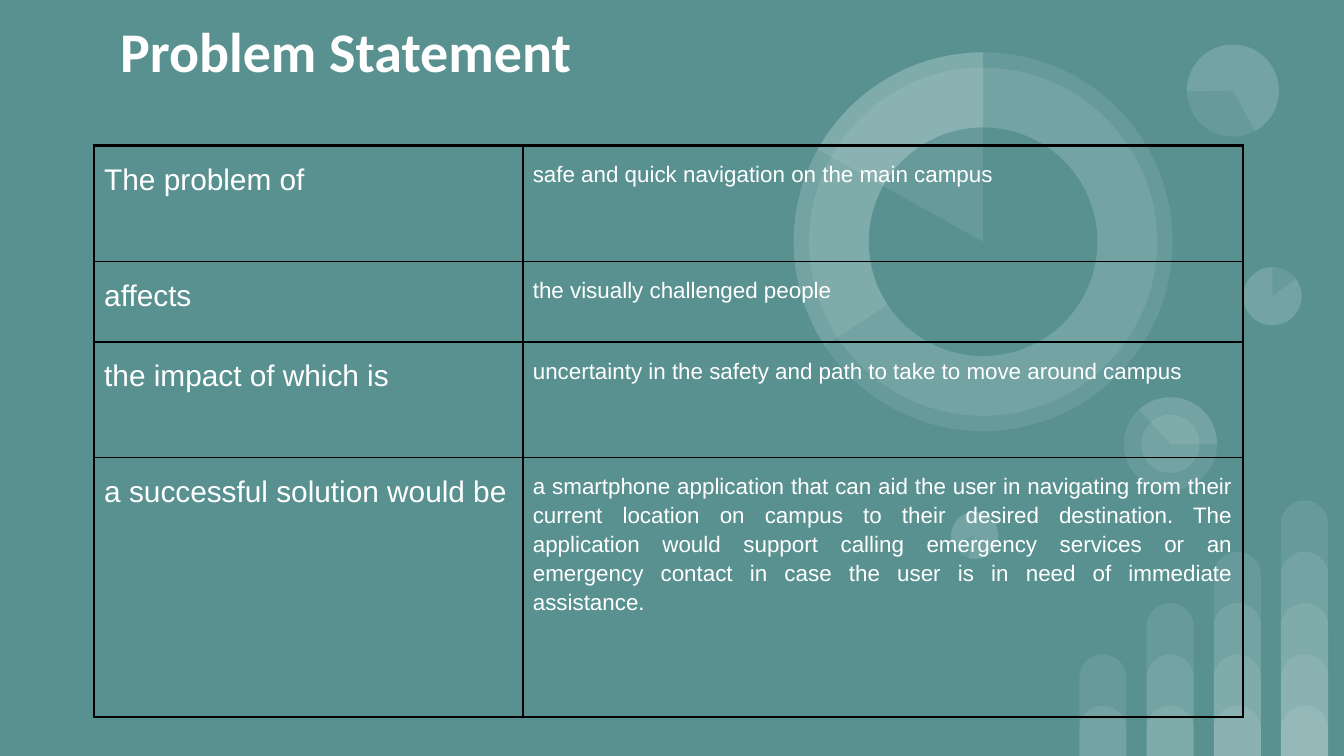
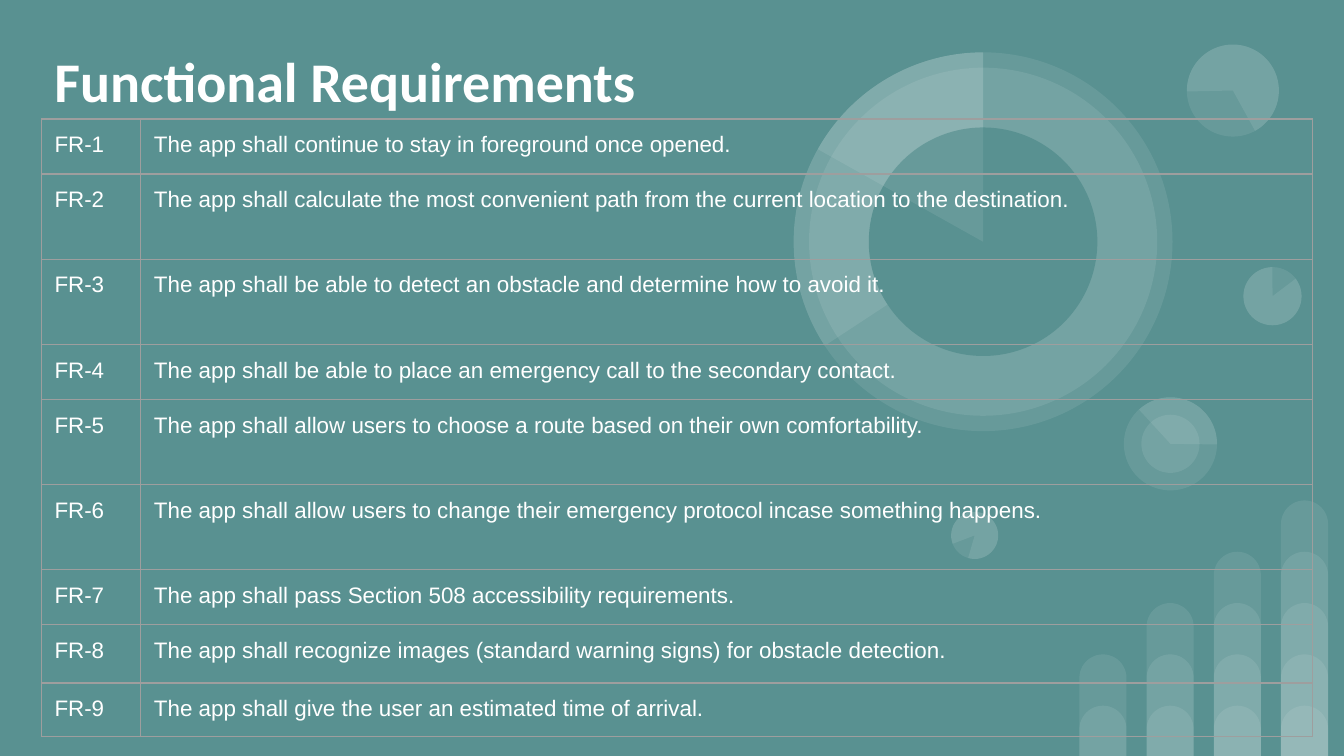
from dataclasses import dataclass
from typing import Optional

from lxml.etree import SubElement as Sub
from pptx import Presentation
from pptx.dml.color import RGBColor as RGB
from pptx.enum.shapes import MSO_SHAPE as Kind
from pptx.enum.text import MSO_ANCHOR as Anchor, PP_ALIGN as Align
from pptx.oxml.ns import qn
from pptx.util import Cm, Pt

HUES = {"teal": "599191", "white": "FFFFFF", "black": "000000", "gray": "9E9E9E"}
WIDTH, HEIGHT = 25.4, 14.29
VEIL = 9  # opacity of the backdrop shapes, percent
PAD = 0.25


@dataclass
class Disc:
    """Circle, or pie wedge when arc holds its two angles; lengths in cm."""
    x: float
    y: float
    size: float
    rot: float = 0
    arc: Optional[tuple[float, float]] = None
    solid: bool = False


@dataclass
class Grid:
    """Place, tracks and cell style of a table; lengths in cm."""
    left: float
    top: float
    cols: list[float]
    rows: list[float]
    cells: list[tuple[str, str]]
    sizes: tuple[int, int]
    pad: float
    line: str
    side: float  # vertical border, points
    rule: float  # horizontal border, points
    head: float  # topmost border, points
    fills: tuple[Optional[str], Optional[str]] = (None, None)
    align: Align = Align.LEFT
    lead: float = 1
    after: float = 0


@dataclass
class Title:
    text: str
    left: float
    top: float
    width: float
    indent: float = 0


# Backdrop: centres shared by the discs that sit on one another
BIG = (18.58, 4.57)
RING = (22.12, 8.39)
CORNER = (23.3, 1.71)
SIDE = (24.05, 5.6)
LOW = (18.42, 10.12)
DISCS = [
    Disc(*SIDE, 1.1),
    Disc(*LOW, 0.89, 196.2),
    Disc(*RING, 1.76, 90),
    Disc(*RING, 1.76, 90, (137.41, 270.77)),
    Disc(*RING, 1.1, 90),
    Disc(*SIDE, 1.1, 0, (322.95, 270)),
    Disc(*CORNER, 1.74, 215.9),
    Disc(*CORNER, 1.74, 215.9, (322.95, 205.23)),
    Disc(*BIG, 7.16),
    Disc(*BIG, 6.58, 34.1),
    Disc(*BIG, 7.16, 0, (146.69, 270)),
    Disc(*BIG, 4.32, 34.1, solid=True),
    Disc(*BIG, 7.16, 0, (209.24, 270)),
    Disc(*LOW, 0.89, 196.2, (322.95, 270)),
]

# Slide content
PROBLEM = Grid(
    1.78, 2.75, [8.1, 13.61], [2.19, 1.52, 2.19, 4.9],
    [
        ("The problem of", "safe and quick navigation on the main campus"),
        ("affects", "the visually challenged people"),
        ("the impact of which is",
         "uncertainty in the safety and path to take to move around campus"),
        ("a successful solution would be",
         "a smartphone application that can aid the user in navigating from their "
         "current location on campus to their desired destination. The application "
         "would support calling emergency services or an emergency contact in case "
         "the user is in need of immediate assistance."),
    ],
    sizes=(16, 12), pad=0.19, line="black", side=1.5, rule=1, head=1.5,
    fills=("teal", None), align=Align.JUSTIFY, lead=1.15, after=6,
)
NEEDS = [
    "continue to stay in foreground once opened.",
    "calculate the most convenient path from the current location to the destination.",
    "be able to detect an obstacle and determine how to avoid it.",
    "be able to place an emergency call to the secondary contact.",
    "allow users to choose a route based on their own comfortability.",
    "allow users to change their emergency protocol incase something happens.",
    "pass Section 508 accessibility requirements.",
    "recognize images (standard warning signs) for obstacle detection.",
    "give the user an estimated time of arrival.",
]
SHORT, TALL = 1.04, 1.61
FEATURES = Grid(
    0.78, 2.25, [1.88, 22.15],
    [SHORT, TALL, TALL, SHORT, TALL, TALL, SHORT, 1.1, 0.99],
    [(f"FR-{n}", f"The app shall {need}") for n, need in enumerate(NEEDS, 1)],
    sizes=(12, 12), pad=PAD, line="gray", side=0.75, rule=0.75, head=0.75,
)


def hue(name: str) -> RGB:
    return RGB.from_string(HUES[name])


def write(frame, text: str, *, size: float, font: str = "Arial",
          color: str = "white", bold: bool = False, align: Align = Align.LEFT,
          lead: float = 1, after: float = 0, indent: float = 0) -> None:
    frame.word_wrap = True
    para = frame.paragraphs[0]
    para.alignment, para.line_spacing, para.space_after = align, lead, Pt(after)
    if indent:
        props = para._p.get_or_add_pPr()
        props.set("marL", str(Cm(indent)))
        props.set("indent", "0")
    run = para.add_run()
    run.text = text
    run.font.name, run.font.size, run.font.bold = font, Pt(size), bold
    run.font.color.rgb = hue(color)


def paint(shape, color: str, alpha: int = 100) -> None:
    shape.shadow.inherit = False
    shape.line.fill.background()
    shape.fill.solid()
    shape.fill.fore_color.rgb = hue(color)
    if alpha < 100:
        tint = shape._element.spPr.find(f".//{qn('a:srgbClr')}")
        Sub(tint, qn("a:alpha"), val=str(alpha * 1000))


def draw_bars(slide) -> None:
    group = slide.shapes.add_group_shape()
    for col in range(4):
        for level in range(col + 2):
            top = 13.34 - 0.97 * level
            bar = group.shapes.add_shape(
                Kind.ROUND_2_SAME_RECTANGLE, Cm(20.4 + 1.27 * col), Cm(top),
                Cm(0.89), Cm(HEIGHT - top))
            bar.adjustments[0], bar.adjustments[1] = 0.5, 0
            paint(bar, "white", VEIL)


def draw_discs(slide) -> None:
    group = slide.shapes.add_group_shape()
    for disc in DISCS:
        half = disc.size / 2
        shape = group.shapes.add_shape(
            Kind.PIE if disc.arc else Kind.OVAL, Cm(disc.x - half),
            Cm(disc.y - half), Cm(disc.size), Cm(disc.size))
        shape.rotation = disc.rot
        for n, angle in enumerate(disc.arc or ()):
            shape.adjustments[n] = angle * 0.6  # 60000 units a degree, over 100000
        if disc.solid:
            paint(shape, "teal")
        else:
            paint(shape, "white", VEIL)


def draw_title(slide, title: Title) -> None:
    box = slide.shapes.add_textbox(
        Cm(title.left), Cm(title.top), Cm(title.width), Cm(1.88))
    frame = box.text_frame
    frame.vertical_anchor = Anchor.MIDDLE
    frame.margin_left = frame.margin_right = Cm(PAD)
    frame.margin_top = frame.margin_bottom = Cm(PAD)
    write(frame, title.text, size=30, font="Calibri", bold=True, indent=title.indent)


def edge(cell, color: str, widths: dict[str, float]) -> None:
    props = cell._tc.get_or_add_tcPr()
    for side, width in widths.items():
        line = Sub(props, qn(f"a:ln{side}"), w=str(Pt(width)))
        Sub(Sub(line, qn("a:solidFill")), qn("a:srgbClr"), val=HUES[color])


def draw_grid(slide, grid: Grid) -> None:
    table = slide.shapes.add_table(
        len(grid.rows), len(grid.cols), Cm(grid.left), Cm(grid.top),
        Cm(sum(grid.cols)), Cm(sum(grid.rows))).table
    table.first_row = table.horz_banding = False
    for col, width in zip(table.columns, grid.cols):
        col.width = Cm(width)
    for row, height in zip(table.rows, grid.rows):
        row.height = Cm(height)
    for r, texts in enumerate(grid.cells):
        for c, text in enumerate(texts):
            cell = table.cell(r, c)
            cell.margin_left = cell.margin_right = Cm(grid.pad)
            cell.margin_top = cell.margin_bottom = Cm(PAD)
            edge(cell, grid.line, {"L": grid.side, "R": grid.side,
                                   "T": grid.rule if r else grid.head,
                                   "B": grid.rule})
            if grid.fills[c]:
                cell.fill.solid()
                cell.fill.fore_color.rgb = hue(grid.fills[c])
            else:
                cell.fill.background()
            write(cell.text_frame, text, size=grid.sizes[c], align=grid.align,
                  lead=grid.lead, after=grid.after)


def add_page(deck, title: Title, grid: Grid) -> None:
    slide = deck.slides.add_slide(deck.slide_layouts[6])
    slide.background.fill.solid()
    slide.background.fill.fore_color.rgb = hue("teal")
    draw_bars(slide)
    draw_discs(slide)
    draw_grid(slide, grid)
    draw_title(slide, title)


def main() -> None:
    deck = Presentation()
    deck.slide_width, deck.slide_height = Cm(WIDTH), Cm(HEIGHT)
    add_page(deck, Title("Problem Statement", 0.75, 0, 11.81, 1.27), PROBLEM)
    add_page(deck, Title("Functional Requirements", 0.78, 0.58, 15.9), FEATURES)
    deck.save("out.pptx")


if __name__ == "__main__":
    main()
